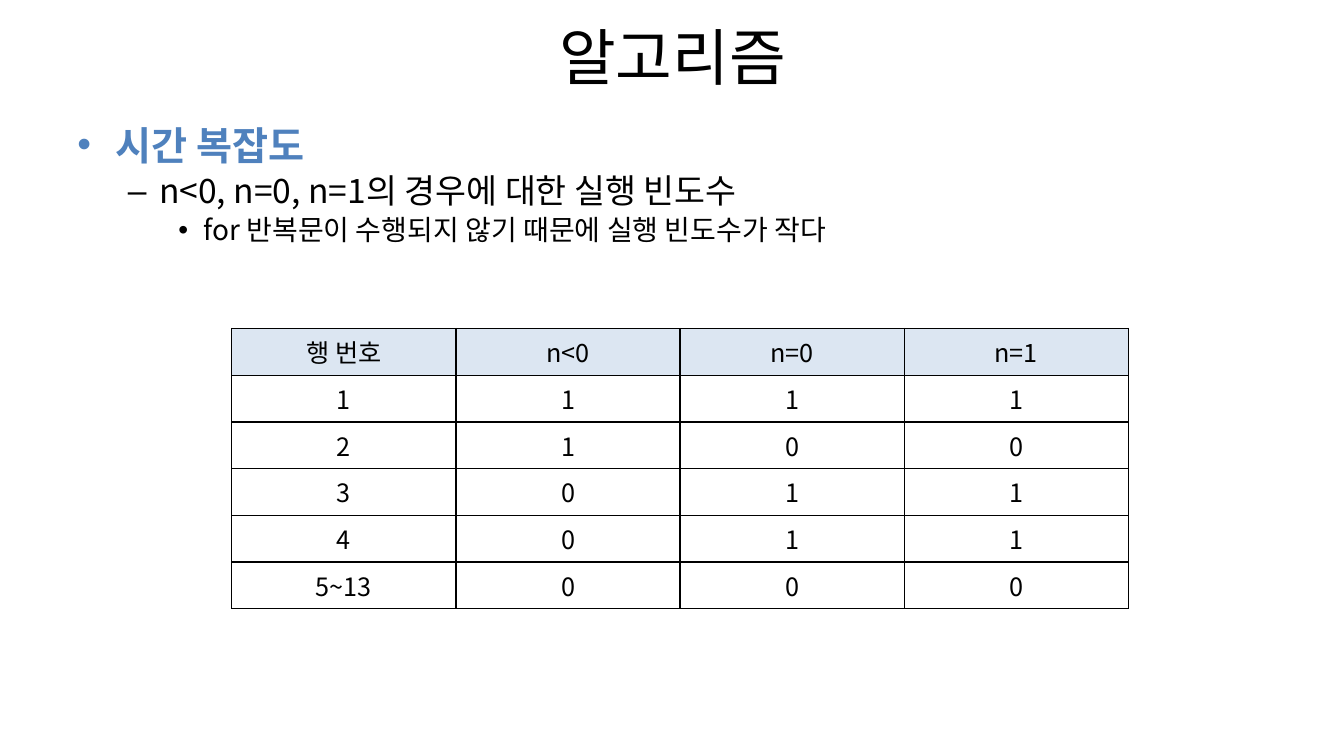
from dataclasses import dataclass

from lxml.etree import SubElement
from pptx import Presentation
from pptx.dml.color import RGBColor
from pptx.enum.text import MSO_ANCHOR, PP_ALIGN
from pptx.oxml.ns import qn
from pptx.util import Inches, Pt

FONT = "Noto Sans CJK KR"
COLORS = {"text": "000000", "accent": "4F81BD", "header": "DCE6F2", "cell": "FFFFFF"}


@dataclass
class Bullet:
    text: str
    mark: str
    size: int
    indent: float
    hanging: float
    line_spacing: float = 0.9
    space_before: float = 0
    color: str = "text"
    bold: bool = False


BULLETS = [
    Bullet("시간 복잡도", "•", 28, 0.38, 0.38, line_spacing=1, color="accent", bold=True),
    Bullet("n<0, n=0, n=1의 경우에 대한 실행 빈도수", "–", 24, 0.81, 0.31, space_before=4.8),
    Bullet("for 반복문이 수행되지 않기 때문에 실행 빈도수가 작다", "•", 20, 1.25, 0.25, space_before=4),
]
FREQUENCIES = [
    ["행 번호", "n<0", "n=0", "n=1"],
    ["1", "1", "1", "1"],
    ["2", "1", "0", "0"],
    ["3", "0", "1", "1"],
    ["4", "0", "1", "1"],
    ["5~13", "0", "0", "0"],
]
TABLE_WIDTH, TABLE_HEIGHT = 8.89, 2.78


def style(para, size: int, color: str = "text", bold: bool = False) -> None:
    para.font.name = FONT
    para.font.size = Pt(size)
    para.font.bold = bold
    para.font.color.rgb = RGBColor.from_string(COLORS[color])


def add_frame(page, left: float, top: float, width: float, height: float):
    box = page.shapes.add_textbox(Inches(left), Inches(top), Inches(width), Inches(height))
    box.text_frame.word_wrap = True
    return box.text_frame


def write_bullet(para, bullet: Bullet) -> None:
    para.text = bullet.text
    para.line_spacing = bullet.line_spacing
    if bullet.space_before:
        para.space_before = Pt(bullet.space_before)
    properties = para._p.get_or_add_pPr()
    properties.set("marL", str(Inches(bullet.indent)))
    properties.set("indent", str(-Inches(bullet.hanging)))
    SubElement(properties, qn("a:buFont"), typeface="Arial")
    SubElement(properties, qn("a:buChar"), char=bullet.mark)
    style(para, bullet.size, bullet.color, bullet.bold)


def add_borders(cell) -> None:
    properties = cell._tc.get_or_add_tcPr()
    for position, side in enumerate(("lnL", "lnR", "lnT", "lnB")):
        line = properties.makeelement(qn(f"a:{side}"), {"w": str(Pt(1))})
        fill = SubElement(line, qn("a:solidFill"))
        SubElement(fill, qn("a:srgbClr"), val=COLORS["text"])
        properties.insert(position, line)


def write_cell(cell, text: str, fill: str) -> None:
    cell.fill.solid()
    cell.fill.fore_color.rgb = RGBColor.from_string(COLORS[fill])
    cell.vertical_anchor = MSO_ANCHOR.MIDDLE
    add_borders(cell)
    para = cell.text_frame.paragraphs[0]
    para.text = text
    para.alignment = PP_ALIGN.CENTER
    style(para, 18)


def add_frequency_table(page) -> None:
    table = page.shapes.add_table(
        len(FREQUENCIES), len(FREQUENCIES[0]), Inches(2.3), Inches(3.26),
        Inches(TABLE_WIDTH), Inches(TABLE_HEIGHT),
    ).table
    for row, texts in enumerate(FREQUENCIES):
        for column, text in enumerate(texts):
            write_cell(table.cell(row, column), text, "cell" if row else "header")


def main() -> None:
    deck = Presentation()
    deck.slide_width, deck.slide_height = Inches(13.33), Inches(7.5)
    page = deck.slides.add_slide(deck.slide_layouts[6])

    # Title
    title = add_frame(page, 0.67, 0.13, 12, 0.85)
    title.vertical_anchor = MSO_ANCHOR.MIDDLE
    heading = title.paragraphs[0]
    heading.text = "알고리즘"
    heading.alignment = PP_ALIGN.CENTER
    style(heading, 44)

    # Bulleted explanation
    body = add_frame(page, 0.67, 1.15, 12.31, 5.67)
    for index, bullet in enumerate(BULLETS):
        write_bullet(body.add_paragraph() if index else body.paragraphs[0], bullet)

    # Execution counts per line
    add_frequency_table(page)
    deck.save("out.pptx")


if __name__ == "__main__":
    main()
